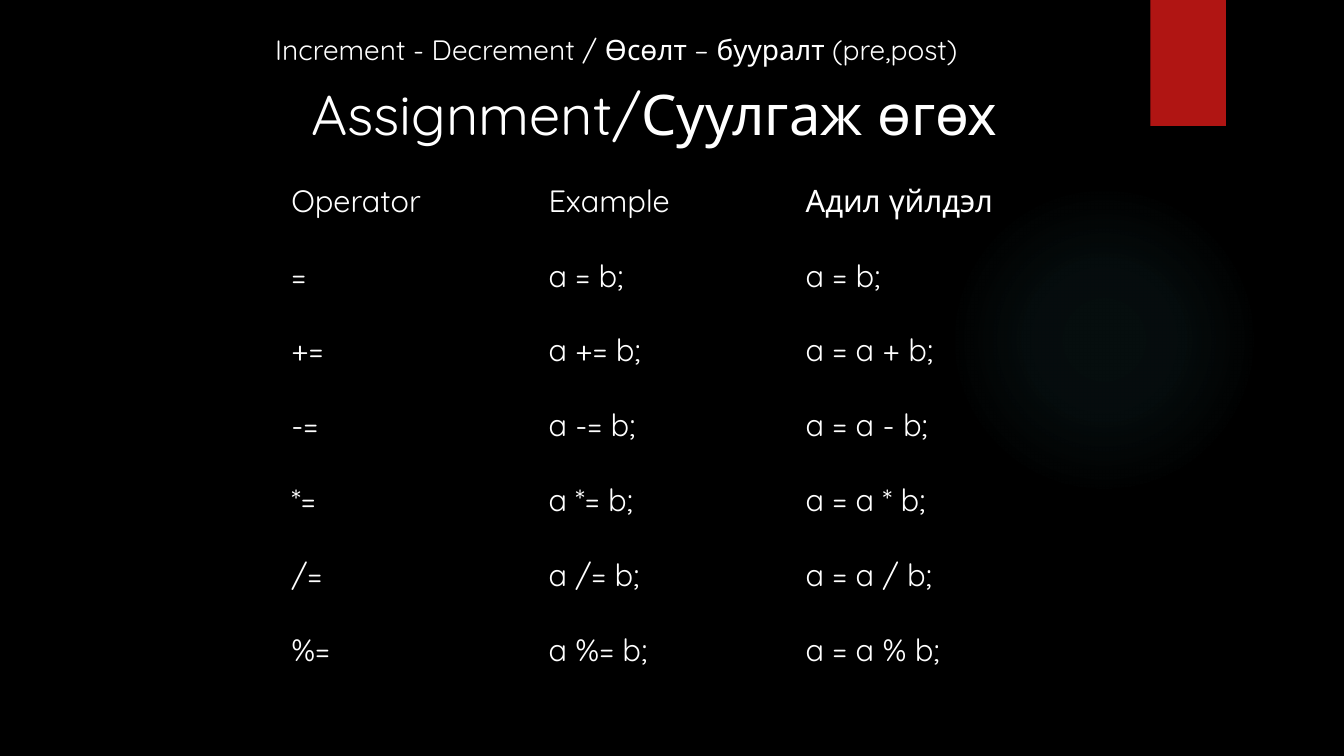
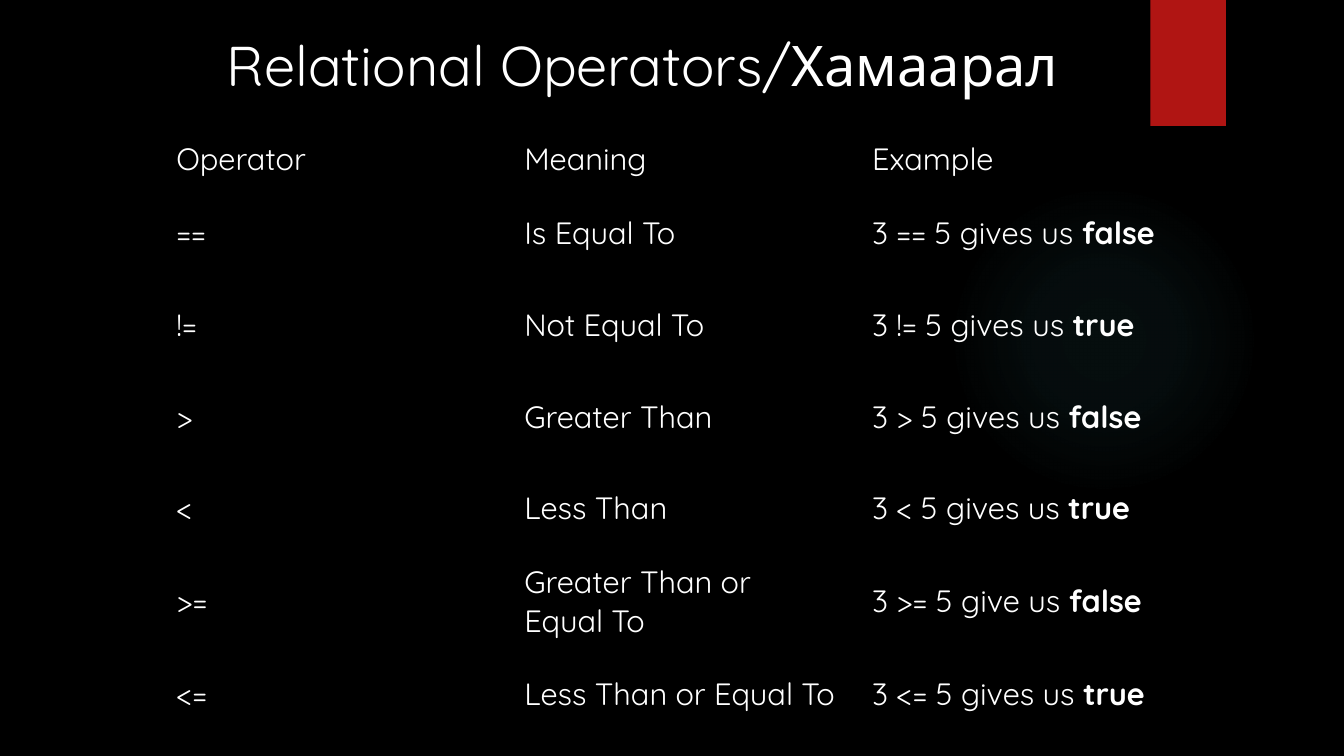
from lxml import etree
from pptx import Presentation
from pptx.dml.color import RGBColor
from pptx.enum.shapes import MSO_SHAPE as SHAPE
from pptx.enum.text import MSO_ANCHOR as ANCHOR, MSO_AUTO_SIZE as AUTO_SIZE, PP_ALIGN as ALIGN
from pptx.oxml import parse_xml
from pptx.oxml.ns import nsdecls, qn
from pptx.util import Inches, Pt

FONT = "Quicksand"
BLACK, WHITE, RED, TEAL = "000000", "FFFFFF", "B01513", "50B9C1"
TITLE_SIZE, INTRO_SIZE, TABLE_SIZE = 40, 20, 22
NO_STYLE_NO_GRID = "{2D5ABB26-0587-4C30-8999-92F81FD0307C}"
TITLE_ONLY, TITLE_AND_BODY = 5, 1

ASSIGNMENT_ROWS = [("Operator", "Example", "Адил үйлдэл"), ("=", "a = b;", "a = b;")]
ASSIGNMENT_ROWS += [(f"{op}=", f"a {op}= b;", f"a = a {op} b;") for op in "+-*/%"]

# A cell is a string, or a pair of plain text and bold text.
RELATIONAL_ROWS = [
    ("Operator", "Meaning", "Example"),
    ("==", "Is Equal To", ("3 == 5 gives us ", "false")),
    ("!=", "Not Equal To", ("3 != 5 gives us ", "true")),
    (">", "Greater Than", ("3 > 5 gives us ", "false")),
    ("<", "Less Than", ("3 < 5 gives us ", "true")),
    (">=", "Greater Than or Equal To", ("3 >= 5 give us ", "false")),
    ("<=", "Less Than or Equal To", ("3 <= 5 gives us ", "true")),
]


def rgb(color):
    return RGBColor.from_string(color)


class Deck:
    """Holds the presentation, its style and the current slide."""

    def __init__(self):
        self.prs = Presentation()
        self.prs.slide_width, self.prs.slide_height = Inches(13.33), Inches(7.5)
        fill = self.prs.slide_master.background.fill
        fill.solid()
        fill.fore_color.rgb = rgb(BLACK)

    def new_slide(self, layout):
        self.slide = self.prs.slides.add_slide(self.prs.slide_layouts[layout])
        self.glow()
        self.tab()

    def shape(self, kind, left, top, width, height):
        sp = self.slide.shapes.add_shape(
            kind, Inches(left), Inches(top), Inches(width), Inches(height))
        sp.shadow.inherit = False
        sp.line.fill.background()
        sp.fill.background()
        return sp

    def glow(self):
        """Draws a faint circle that fades out from its centre."""
        sp = self.shape(SHAPE.OVAL, 9.41, 1.83, 3.08, 3.08)
        stops = "".join(
            f'<a:gs pos="{pos}000"><a:srgbClr val="{TEAL}"><a:alpha val="{alpha}000"/>'
            "</a:srgbClr></a:gs>" for pos, alpha in ((0, 7), (36, 6), (69, 0)))
        gradient = parse_xml(
            f'<a:gradFill {nsdecls("a")}><a:gsLst>{stops}</a:gsLst><a:path path="circle">'
            '<a:fillToRect l="50000" t="50000" r="50000" b="50000"/></a:path></a:gradFill>')
        sp_pr = sp._element.spPr
        sp_pr.replace(sp_pr.find(qn("a:noFill")), gradient)

    def tab(self):
        """Draws the red tab at the top edge, with a soft shadow below it."""
        sp = self.shape(SHAPE.RECTANGLE, 11.41, 0, 0.75, 1.25)
        sp.fill.solid()
        sp.fill.fore_color.rgb = rgb(RED)
        sp._element.spPr.find(qn("a:effectLst")).append(parse_xml(
            f'<a:outerShdw {nsdecls("a")} blurRad="{Pt(3)}" dist="{Pt(2)}" dir="5400000">'
            f'<a:srgbClr val="{BLACK}"><a:alpha val="45000"/></a:srgbClr></a:outerShdw>'))

    def run(self, p, text, size, bold=False):
        r = p.add_run()
        r.text = text
        r.font.name, r.font.size, r.font.bold = FONT, Pt(size), bold
        r.font.color.rgb = rgb(WHITE)

    def placeholder(self, sp, text, size, box, align):
        sp.left, sp.top, sp.width, sp.height = map(Inches, box)
        tf = sp.text_frame
        tf.word_wrap, tf.auto_size = True, AUTO_SIZE.NONE
        tf.vertical_anchor = ANCHOR.TOP
        p = tf.paragraphs[0]
        p.alignment, p.space_before = align, Pt(0)
        self.run(p, text, size)
        return p

    def title(self, text, *box, align=ALIGN.LEFT):
        self.placeholder(self.slide.shapes.title, text, TITLE_SIZE, box, align)

    def intro(self, text, *box):
        p = self.placeholder(self.slide.placeholders[1], text, INTRO_SIZE, box, ALIGN.LEFT)
        p_pr = p._p.get_or_add_pPr()
        p_pr.set("marL", "0")
        p_pr.set("indent", "0")
        etree.SubElement(p_pr, qn("a:buNone"))

    def table(self, rows, left, top, col_width, row_heights, inset):
        """Adds a table without grid; the top inset is half the side inset."""
        cols = len(rows[0])
        frame = self.slide.shapes.add_table(
            len(rows), cols, Inches(left), Inches(top),
            Inches(cols * col_width), Inches(sum(row_heights)))
        table = frame.table
        table.first_row = table.horz_banding = False
        table._tbl.tblPr.find(qn("a:tableStyleId")).text = NO_STYLE_NO_GRID
        for col in table.columns:
            col.width = Inches(col_width)
        for row, height, texts in zip(table.rows, row_heights, rows):
            row.height = Inches(height)
            for cell, text in zip(row.cells, texts):
                self.cell(cell, text, inset)

    def cell(self, cell, text, inset):
        cell.fill.background()
        cell.vertical_anchor = ANCHOR.MIDDLE
        cell.margin_left = cell.margin_right = Inches(inset)
        cell.margin_top = cell.margin_bottom = Inches(inset / 2)
        plain, bold = (text, "") if isinstance(text, str) else text
        p = cell.text_frame.paragraphs[0]
        self.run(p, plain, TABLE_SIZE)
        if bold:
            self.run(p, bold, TABLE_SIZE, bold=True)


def main():
    deck = Deck()

    deck.new_slide(TITLE_AND_BODY)
    deck.intro("Increment - Decrement / Өсөлт – бууралт (pre,post)", 2.63, 0.27, 7.72, 0.47)
    deck.title("Assignment/Суулгаж өгөх", 2.63, 0.74, 7.72, 0.85, align=ALIGN.CENTER)
    deck.table(ASSIGNMENT_ROWS, 2.69, 1.62, 2.55, [5.2 / 7] * 7, 0.2)

    deck.new_slide(TITLE_ONLY)
    deck.title("Relational Operators/Хамаарал", 2.15, 0.25, 9.2, 0.77)
    deck.table(RELATIONAL_ROWS, 1.58, 1.29, 3.45, [0.57] + [0.91] * 6, 0.17)

    deck.prs.save("out.pptx")


if __name__ == "__main__":
    main()
